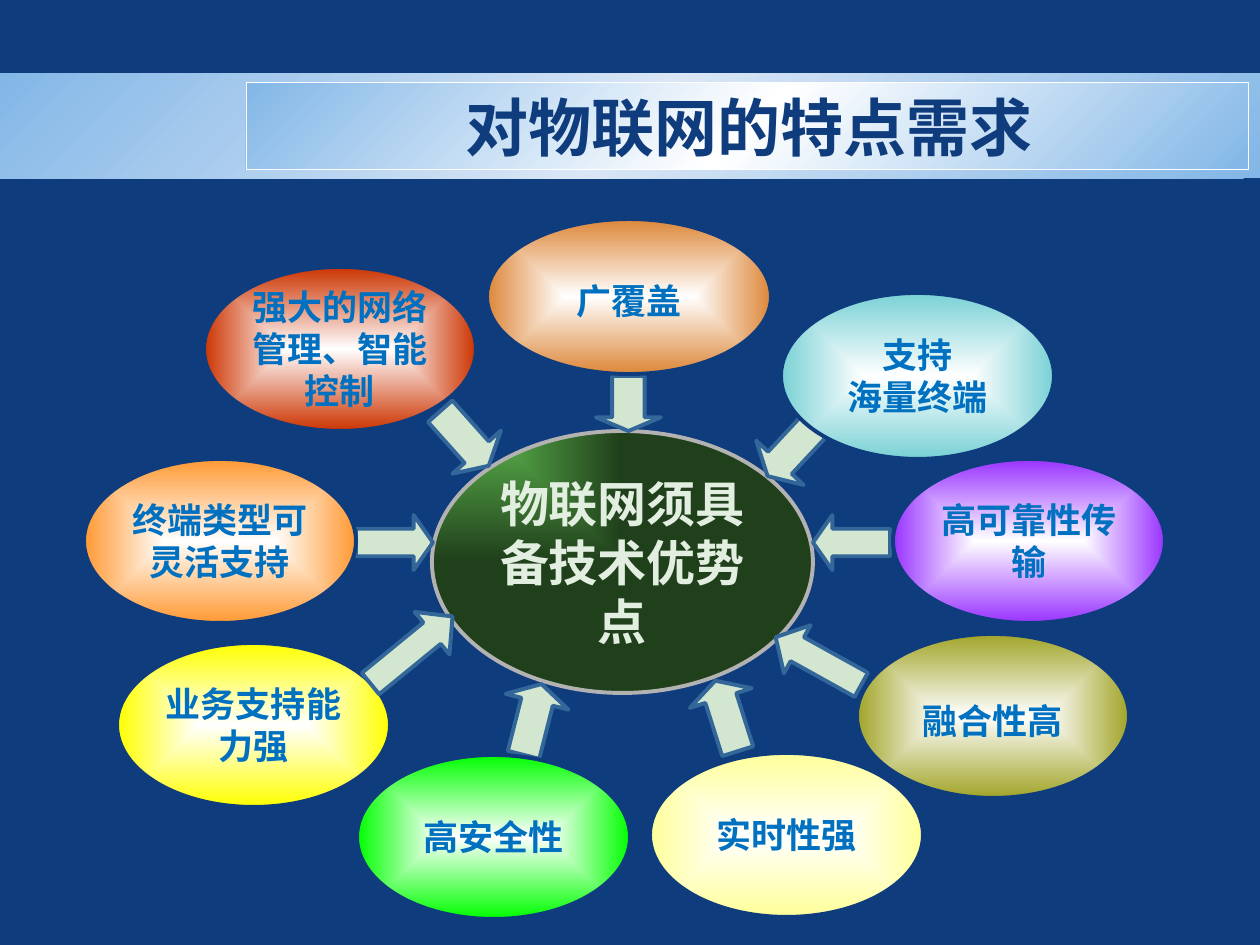
from lxml import etree
from pptx import Presentation
from pptx.dml.color import RGBColor
from pptx.enum.shapes import MSO_SHAPE
from pptx.enum.text import MSO_ANCHOR, PP_ALIGN
from pptx.oxml import parse_xml
from pptx.oxml.ns import nsdecls, qn
from pptx.util import Emu, Pt

ELLIPSE = MSO_SHAPE.OVAL
DOWN_ARROW = MSO_SHAPE.DOWN_ARROW
RECTANGLE = MSO_SHAPE.RECTANGLE
ROUNDED = MSO_SHAPE.ROUNDED_RECTANGLE
MIDDLE = MSO_ANCHOR.MIDDLE
CENTER = PP_ALIGN.CENTER

PX = 914400 // 126
FONT = "Noto Sans CJK SC"
COLORS = {
    "navy": "0F3C7D", "sky": "83B7E7", "pale_sky": "D9E6F6", "white": "FFFFFF",
    "leaf": "5AB14B", "forest": "203F1B", "gray": "B2B2B2", "mint": "E1EEE0",
    "arrow": "D3E6D0", "arrow_line": "336699", "label": "0070C0",
    "yellow": "FFFF00", "orange": "FF9933", "red": "CC3300", "copper": "DD8739",
    "teal": "79D1D5", "purple": "9933FF", "olive": "A1A428",
    "cream": "FFFF99", "green": "00FF00",
}

TITLE = "对物联网的特点需求"
TITLE_BOX = (246, 95, 1005, 63)
BAND_BOX = (0, 73, 1260, 105)
FRAME_BOX = (246, 83, 1003, 87)
HUB = "物联网须具备技术优势点"
HUB_BOX = (432, 431, 381, 262)

# lines, colour, left, top, width, height, line spacing; from back to front
FEATURES = [
    (["业务支持能力强"], "yellow", 117, 643, 273, 164, 1),
    (["终端类型可灵活支持"], "orange", 84, 459, 272, 164, 1),
    (["强大的网络管理、智能控制"], "red", 204, 267, 272, 164, 1),
    (["广覆盖"], "copper", 487, 219, 284, 155, 1.2),
    (["支持", "海量终端"], "teal", 781, 293, 273, 166, 1),
    (["高可靠性传输"], "purple", 893, 459, 272, 164, 1),
    (["融合性高"], "olive", 857, 634, 272, 164, 1.2),
    (["实时性强"], "cream", 650, 753, 273, 164, 1),
    (["高安全性"], "green", 357, 755, 273, 164, 1),
]

# left, top, width, height before turning, then the turn in degrees
ARROWS = [
    (596, 376, 65, 55, 0),
    (760, 413, 65, 73, 43),
    (432, 402, 65, 73, 318.3),
    (367, 504, 55, 77, 270),
    (384, 597, 55, 106, 230.7),
    (500, 683, 65, 73, 194.2),
    (694, 679, 65, 74, 162.4),
    (791, 612, 55, 98, 119.1),
    (824, 504, 55, 77, 90),
]


def rgb(name):
    return RGBColor.from_string(COLORS[name])


def set_gradient(shape, names, direction):
    """Fill with evenly spaced colours; direction is the a:lin or a:path element."""
    shape.fill.solid()
    step = 100000 // (len(names) - 1)
    stops = "".join(
        f'<a:gs pos="{index * step}"><a:srgbClr val="{COLORS[name]}"/></a:gs>'
        for index, name in enumerate(names))
    gradient = parse_xml(f'<a:gradFill {nsdecls("a")} rotWithShape="1">'
                         f'<a:gsLst>{stops}</a:gsLst>{direction}</a:gradFill>')
    properties = shape._element.spPr
    properties.replace(properties.find(qn("a:solidFill")), gradient)


def path_direction(kind, left, top, right, bottom):
    return (f'<a:path path="{kind}"><a:fillToRect l="{left}000" t="{top}000" '
            f'r="{right}000" b="{bottom}000"/></a:path>')


DIAGONAL = '<a:lin ang="2700000" scaled="0"/>'
FROM_CENTER = path_direction("shape", 50, 50, 50, 50)
FROM_CORNER = path_direction("rect", 0, 0, 100, 100)


def add_shape(slide, kind, box, line=None, line_width=2.25):
    shape = slide.shapes.add_shape(kind, *(Emu(value * PX) for value in box))
    shape.shadow.inherit = False
    if line:
        shape.line.color.rgb = rgb(line)
        shape.line.width = Pt(line_width)
    else:
        shape.line.fill.background()
    return shape


def write_text(shape, lines, size, color, spacing=None):
    frame = shape.text_frame
    frame.word_wrap = True
    frame.vertical_anchor = MIDDLE
    frame.margin_left = frame.margin_right = frame.margin_top = frame.margin_bottom = 0
    frame.text = "\n".join(lines)
    for paragraph in frame.paragraphs:
        paragraph.alignment = CENTER
        if spacing:
            paragraph.line_spacing = spacing
        font = paragraph.font
        font.name = FONT
        font.size = Pt(size)
        font.bold = True
        font.color.rgb = rgb(color)
        defaults = paragraph._p.pPr.find(qn("a:defRPr"))
        etree.SubElement(defaults, qn("a:ea")).set("typeface", FONT)


def add_header(slide):
    band = add_shape(slide, ROUNDED, BAND_BOX)
    band.adjustments[0] = 0
    set_gradient(band, ["sky", "pale_sky", "sky"], DIAGONAL)
    frame = add_shape(slide, RECTANGLE, FRAME_BOX, "white", 0.5)
    set_gradient(frame, ["sky", "white", "sky"], DIAGONAL)
    title = slide.shapes.add_textbox(*(Emu(value * PX) for value in TITLE_BOX))
    write_text(title, [TITLE], 36, "navy")


def add_hub(slide):
    hub = add_shape(slide, ELLIPSE, HUB_BOX, "gray")
    set_gradient(hub, ["leaf", "forest"], FROM_CORNER)
    write_text(hub, [HUB], 28, "mint")


def add_feature(slide, lines, color, left, top, width, height, spacing):
    feature = add_shape(slide, ELLIPSE, (left, top, width, height), "navy")
    set_gradient(feature, ["white", color], FROM_CENTER)
    write_text(feature, lines, 20, "label", spacing)


def add_arrow(slide, left, top, width, height, turn):
    """Add an arrow whose head takes a quarter of its length."""
    arrow = add_shape(slide, DOWN_ARROW, (left, top, width, height), "arrow_line")
    arrow.fill.solid()
    arrow.fill.fore_color.rgb = rgb("arrow")
    arrow.adjustments[0] = 0.5
    arrow.adjustments[1] = round(height / 4 / min(width, height), 2)
    arrow.rotation = turn


def main():
    presentation = Presentation()
    presentation.slide_width = Emu(1260 * PX)
    presentation.slide_height = Emu(945 * PX)
    slide = presentation.slides.add_slide(presentation.slide_layouts[6])
    slide.background.fill.solid()
    slide.background.fill.fore_color.rgb = rgb("navy")

    add_header(slide)
    add_hub(slide)
    add_feature(slide, *FEATURES[0])
    for arrow in ARROWS:
        add_arrow(slide, *arrow)
    for feature in FEATURES[1:]:
        add_feature(slide, *feature)
    presentation.save("out.pptx")


if __name__ == "__main__":
    main()
